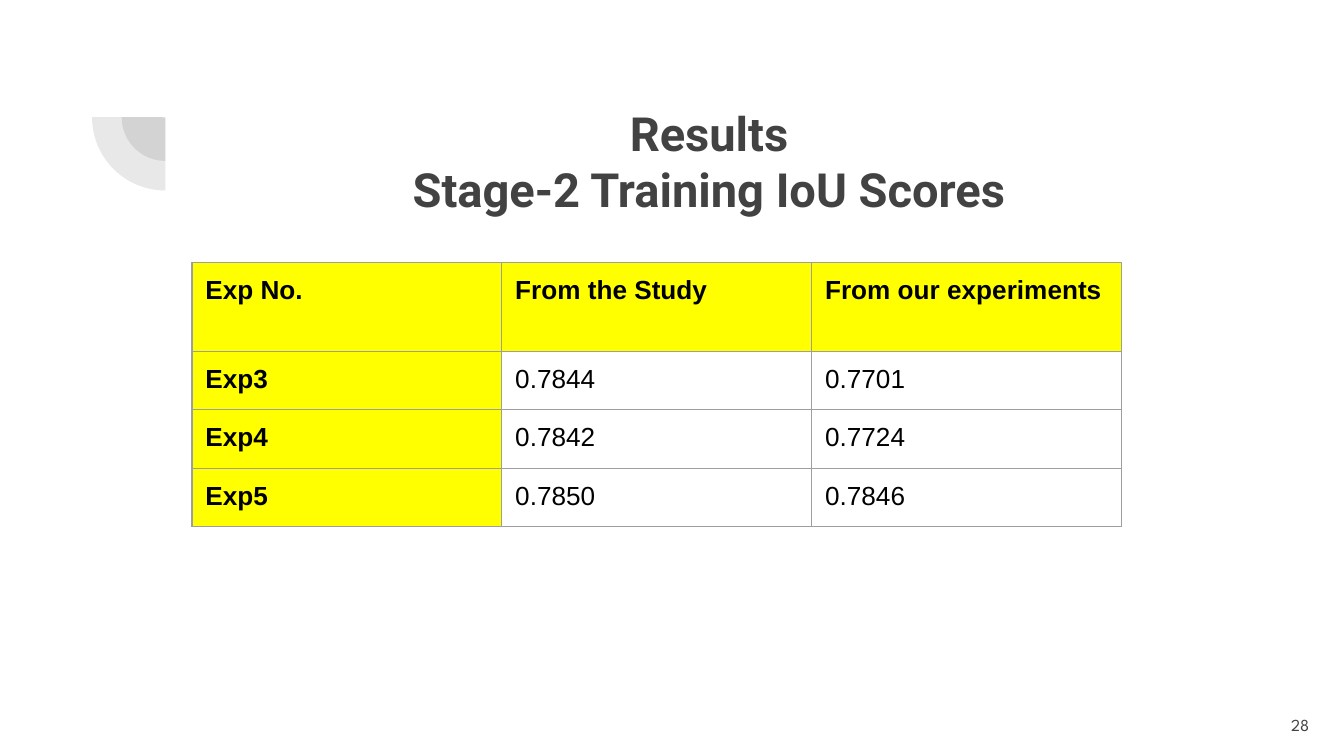
from lxml import etree
from pptx import Presentation
from pptx.dml.color import RGBColor
from pptx.enum import shapes, text
from pptx.oxml import ns
from pptx.util import Pt

GREY, YELLOW, BORDER, BLACK = "424242", "FFFF00", "9E9E9E", "000000"
INSET = 7.2

SCORES = [
    ("Exp No.", "From the Study", "From our experiments"),
    ("Exp3", "0.7844", "0.7701"),
    ("Exp4", "0.7842", "0.7724"),
    ("Exp5", "0.7850", "0.7846"),
]


def rgb(value):
    return RGBColor.from_string(value)


def add_run(p, content, size, font, color, bold=False):
    r = p.add_run()
    r.text = content
    r.font.size = Pt(size)
    r.font.name = font
    r.font.bold = bold
    r.font.color.rgb = rgb(color)


def set_margins(target):
    for side in ("left", "top", "right", "bottom"):
        setattr(target, f"margin_{side}", Pt(INSET))


def add_text(s, box, lines, align, size, font, bold=False):
    tf = s.shapes.add_textbox(*map(Pt, box)).text_frame
    tf.word_wrap = True
    tf.vertical_anchor = text.MSO_ANCHOR.MIDDLE
    set_margins(tf)
    for i, line in enumerate(lines):
        p = tf.add_paragraph() if i else tf.paragraphs[0]
        p.alignment = align
        add_run(p, line, size, font, GREY, bold)


def add_quarter(s, cx, cy, radius):
    """Translucent lower-left quarter of a circle."""
    sp = s.shapes.add_shape(shapes.MSO_SHAPE.PIE, Pt(cx - radius), Pt(cy - radius),
                            Pt(2 * radius), Pt(2 * radius))
    sp.adjustments[0], sp.adjustments[1] = 108, 162
    sp.rotation = 270
    sp.shadow.inherit = False
    sp.line.fill.background()
    sp.fill.solid()
    sp.fill.fore_color.rgb = rgb(GREY)
    color = sp.fill._xPr.find(".//" + ns.qn("a:srgbClr"))
    etree.SubElement(color, ns.qn("a:alpha"), val="12000")


def set_borders(cell, color, width):
    tc_pr = cell._tc.get_or_add_tcPr()
    for i, side in enumerate(("lnL", "lnR", "lnT", "lnB")):
        ln = etree.Element(ns.qn("a:" + side), w=str(Pt(width)))
        fill = etree.SubElement(ln, ns.qn("a:solidFill"))
        etree.SubElement(fill, ns.qn("a:srgbClr"), val=color)
        tc_pr.insert(i, ln)


def add_score_table(s, left, top, col_width, row_heights):
    rows, cols = len(SCORES), len(SCORES[0])
    table = s.shapes.add_table(rows, cols, Pt(left), Pt(top), Pt(col_width * cols),
                               Pt(sum(row_heights))).table
    table.horz_banding = False
    for col in table.columns:
        col.width = Pt(col_width)
    for i, (row, height) in enumerate(zip(SCORES, row_heights)):
        table.rows[i].height = Pt(height)
        for j, content in enumerate(row):
            cell = table.cell(i, j)
            heading = i == 0 or j == 0
            set_margins(cell)
            if heading:
                cell.fill.solid()
                cell.fill.fore_color.rgb = rgb(YELLOW)
            else:
                cell.fill.background()
            set_borders(cell, BORDER, 0.75)
            add_run(cell.text_frame.paragraphs[0], content, 14, "Arial", BLACK, heading)


def main():
    prs = Presentation()
    prs.slide_width, prs.slide_height = Pt(720), Pt(405)
    s = prs.slides.add_slide(prs.slide_layouts[6])

    # Corner ornament
    for radius in (23.4, 39.25):
        add_quarter(s, 88.6, 62.8, radius)

    # Title
    add_text(s, (103, 46.8, 553.7, 78.5), ["Results", "Stage-2 Training IoU Scores"],
             text.PP_ALIGN.CENTER, 25.2, "Roboto", bold=True)

    # Slide number
    add_text(s, (665.3, 373, 43.2, 31), ["28"], text.PP_ALIGN.RIGHT, 9, "League Spartan")

    # Scores
    add_score_table(s, 102.8, 140.6, 166, [47.6] + [31.3] * 3)

    prs.save("out.pptx")


if __name__ == "__main__":
    main()
